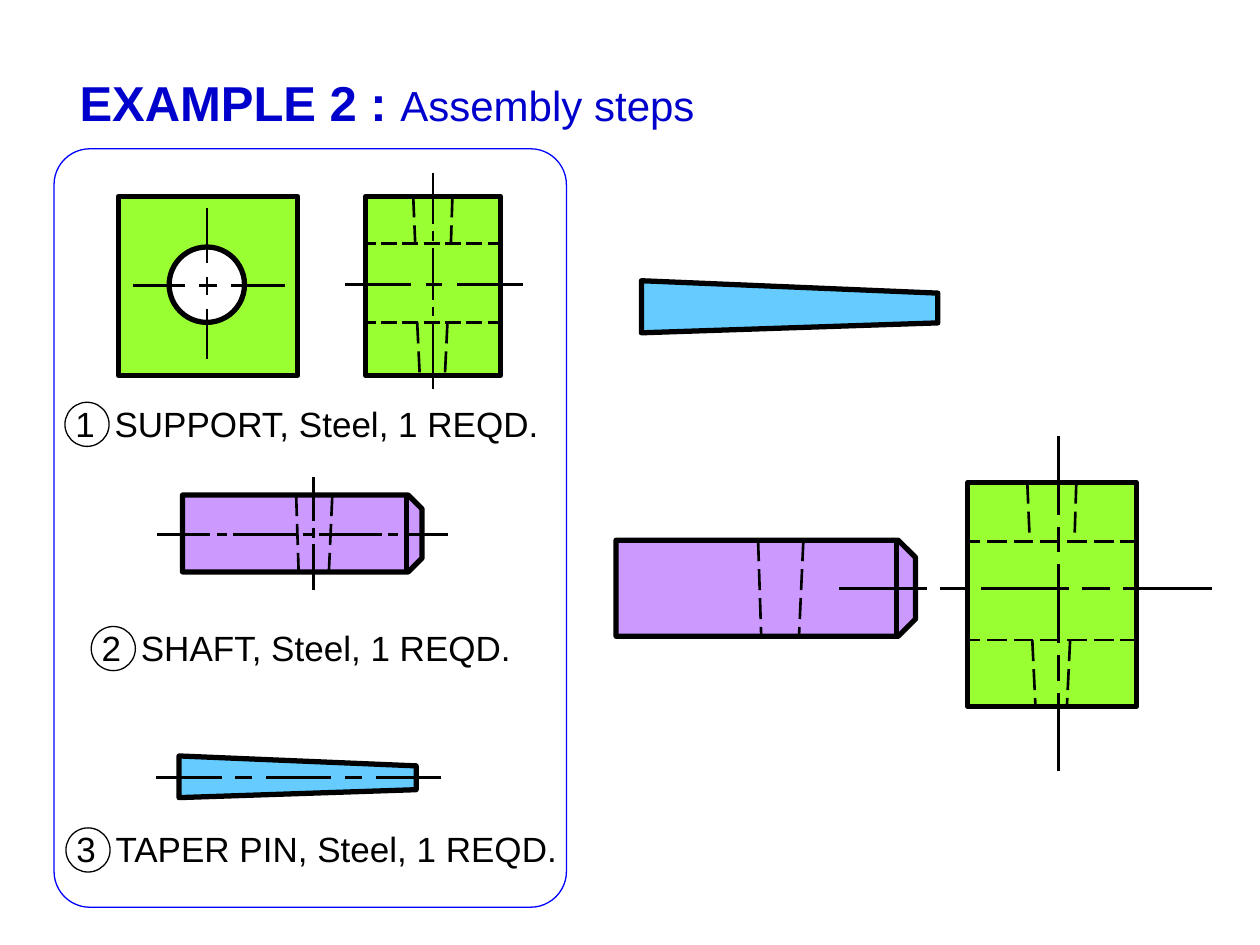
from dataclasses import dataclass
from typing import Any

from lxml import etree
from pptx import Presentation, util as u
from pptx.dml.color import RGBColor
from pptx.enum import dml, shapes, text
from pptx.oxml import ns

COLORS = {"title": "0000CC", "panel": "0000FF", "ink": "000000", "hole": "FFFFFF",
          "support": "99FF33", "shaft": "CC99FF", "pin": "66CCFF"}
THICK, THIN, HAIR = 3, 1.5, 0.75


@dataclass
class Box:
    """A drawing region whose inner lengths are centimetres times a scale."""
    slide: Any
    left: float
    top: float
    scale: float = 1

    def at(self, x, y):
        """Return the slide position of an inner point."""
        return (u.Cm(self.left + x * self.scale), u.Cm(self.top + y * self.scale))

    def size(self, width, height):
        """Return scaled lengths."""
        return u.Cm(width * self.scale), u.Cm(height * self.scale)


def rgb(name):
    """Look up a named colour."""
    return RGBColor.from_string(COLORS[name])


def finish(shape, fill, width, line="ink"):
    """Set the fill and outline of a shape."""
    shape.shadow.inherit = False
    if fill:
        shape.fill.solid()
        shape.fill.fore_color.rgb = rgb(fill)
    else:
        shape.fill.background()
    shape.line.color.rgb = rgb(line)
    shape.line.width = u.Pt(width)


def preset(box, kind, x, y, width, height, fill, weight, line="ink"):
    """Add a preset shape inside a box."""
    shape = box.slide.shapes.add_shape(kind, *box.at(x, y), *box.size(width, height))
    finish(shape, fill, weight, line)
    return shape


def outline(box, points, fill):
    """Add a closed polygon inside a box."""
    first, *rest = [box.at(*point) for point in points]
    builder = box.slide.shapes.build_freeform(*first)
    builder.add_line_segments(rest, close=True)
    finish(builder.convert_to_shape(), fill, THICK)


def stroke(box, start, end, weight=THIN, dash=None):
    """Add a straight line inside a box."""
    edge = box.slide.shapes.add_connector(
        shapes.MSO_CONNECTOR.STRAIGHT, *box.at(*start), *box.at(*end))
    edge.line.color.rgb = rgb("ink")
    edge.line.width = u.Pt(weight)
    if dash:
        edge.line.dash_style = dash
    etree.SubElement(edge._element.spPr, ns.qn("a:effectLst"))


def chain(box, level, start, end, long, short, gap, count, lead=None, vertical=False):
    """Draw alternating long and short dashes, the last one reaching the end."""
    for index in range(count):
        length = short if index % 2 else long
        if index == 0 and lead:
            length = lead
        stop = end if index == count - 1 else start + length
        ends = [(start, level), (stop, level)]
        stroke(box, *[point[::-1] if vertical else point for point in ends])
        start = stop + gap


def taper_hole(box, top, bottom, top_sides, bottom_sides):
    """Draw the two hidden sides of a tapered hole."""
    for upper, lower in zip(top_sides, bottom_sides):
        stroke(box, (upper, top), (lower, bottom), dash=dml.MSO_LINE.LONG_DASH)


def support_front(box):
    """Draw the front view of the support with its centre lines."""
    preset(box, shapes.MSO_SHAPE.RECTANGLE, 0, 0, 3.61, 3.61, "support", THICK)
    preset(box, shapes.MSO_SHAPE.OVAL, 1.02, 1.02, 1.52, 1.52, "hole", THICK)
    chain(box, 1.8, 0.3, 3.35, 1.04, 0.36, 0.28, 3)
    chain(box, 1.78, 0.23, 3.28, 1.12, 0.35, 0.28, 3, vertical=True)


def support_side(box):
    """Draw the side view of the support with its hidden edges."""
    preset(box, shapes.MSO_SHAPE.RECTANGLE, 0, 0, 2.72, 3.61, "support", THICK)
    for level in (0.95, 2.54):
        chain(box, level, -0.02, 2.74, 0.32, 0.32, 0.11, 7, lead=0.22)
    taper_hole(box, 0, 0.95, (0.96, 1.75), (1, 1.72))
    taper_hole(box, 2.54, 3.58, (1.04, 1.65), (1.09, 1.6))


def shaft(box):
    """Draw the chamfered shaft with its tapered hole."""
    outline(box, [(4.55, 0), (4.83, 0.28), (4.83, 1.27), (4.55, 1.55),
                  (0, 1.55), (0, 0)], "shaft")
    stroke(box, (4.52, 0), (4.52, 1.55), THICK)
    taper_hole(box, 0, 1.55, (2.29, 3.02), (2.34, 2.95))


def taper_pin(box):
    """Draw the taper pin."""
    outline(box, [(0, 0), (4.78, 0.2), (4.78, 0.68), (0, 0.84)], "pin")


def part_label(box, number, description, width):
    """Write a part's ringed number and its description."""
    label = box.slide.shapes.add_textbox(*box.at(0, 0), *box.size(width, 1.12))
    label.text_frame.word_wrap = False
    paragraph = label.text_frame.paragraphs[0]
    paragraph.text = f"{number}\t{description}"
    tabs = etree.SubElement(paragraph._p.get_or_add_pPr(), ns.qn("a:tabLst"))
    etree.SubElement(tabs, ns.qn("a:tab"), pos=str(u.Cm(0.79)), algn="l")
    paragraph.font.name = "Arial"
    paragraph.font.size = u.Pt(20)
    paragraph.font.color.rgb = rgb("ink")
    preset(box, shapes.MSO_SHAPE.OVAL, 0.04, 0.13, 0.89, 0.89, None, HAIR)


def parts_panel(slide, left, top):
    """Draw the framed list of the three parts."""
    def inner(x, y):
        return Box(slide, left + x, top + y)

    frame = preset(inner(0, 0), shapes.MSO_SHAPE.ROUNDED_RECTANGLE,
                   0, 0, 10.33, 15.29, None, HAIR, "panel")
    frame.adjustments[0] = 0.07

    support_front(inner(1.3, 0.96))
    side = inner(6.28, 0.96)
    support_side(side)
    chain(side, 1.78, -0.41, 3.18, 1.32, 0.34, 0.3, 3)
    chain(side, 1.36, -0.48, 3.89, 1.04, 0.2, 0.14, 5, vertical=True)

    rod = inner(2.59, 6.98)
    shaft(rod)
    chain(rod, 0.79, -0.51, 5.36, 1.27, 0.2, 0.13, 7, lead=1.07)
    chain(rod, 2.64, -0.36, 1.91, 0.89, 0.2, 0.13, 3, vertical=True)

    pin = inner(2.52, 12.24)
    taper_pin(pin)
    chain(pin, 0.43, -0.46, 5.28, 1.32, 0.35, 0.27, 5)

    part_label(inner(0.18, 4.98), 1, "SUPPORT, Steel, 1 REQD.", 9.93)
    part_label(inner(0.71, 9.5), 2, "SHAFT, Steel, 1 REQD.", 8.84)
    part_label(inner(0.2, 13.56), 3, "TAPER PIN, Steel, 1 REQD.", 10.24)


def assembly(slide, left, top):
    """Draw the enlarged parts lined up along their common axes."""
    enlarged = 1.25
    shaft(Box(slide, left, top + 5.23, enlarged))
    taper_pin(Box(slide, left + 0.51, top, enlarged))
    support_side(Box(slide, left + 7.09, top + 4.07, enlarged))
    axes = Box(slide, left, top)
    chain(axes, 8.92, 3.12, 9.88, 1.6, 0.51, 0.24, 5, vertical=True)
    chain(axes, 6.2, 4.5, 12.01, 1.77, 0.57, 0.26, 5)


def heading(slide, left, top, width, height):
    """Place and format the slide title."""
    title = slide.shapes.title
    title.left, title.top, title.width, title.height = map(
        u.Cm, (left, top, width, height))
    frame = title.text_frame
    frame.word_wrap = False
    frame.auto_size = text.MSO_AUTO_SIZE.NONE
    frame.vertical_anchor = text.MSO_ANCHOR.TOP
    paragraph = frame.paragraphs[0]
    paragraph.alignment = text.PP_ALIGN.LEFT
    paragraph.font.name = "Arial"
    paragraph.font.color.rgb = rgb("title")
    for words, size, bold in (("EXAMPLE 2 : ", 28, True), ("Assembly steps", 24, False)):
        run = paragraph.add_run()
        run.text = words
        run.font.size = u.Pt(size)
        run.font.bold = bold


def main():
    """Build the slide and save it."""
    deck = Presentation()
    deck.slide_width, deck.slide_height = u.Cm(25.4), u.Cm(19.05)
    slide = deck.slides.add_slide(deck.slide_layouts[5])
    heading(slide, 1.35, 1.34, 13.5, 1.45)
    parts_panel(slide, 1.09, 3)
    assembly(slide, 12.42, 5.66)
    deck.save("out.pptx")


if __name__ == "__main__":
    main()
